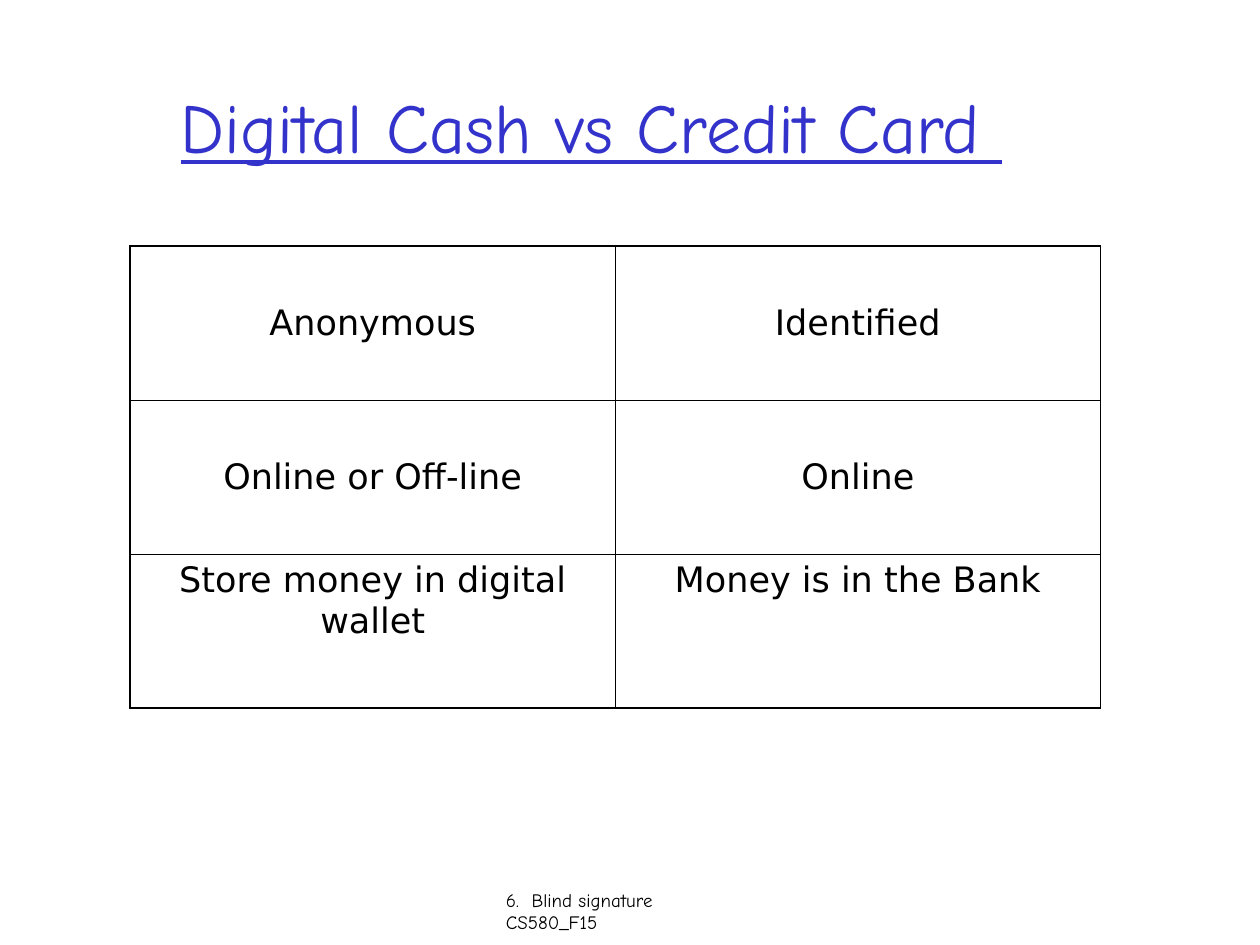
import pptx
import pptx.util
import pptx.dml.color
import pptx.enum.text
import pptx.oxml
import pptx.oxml.ns

Pt = pptx.util.Pt
ALIGN = pptx.enum.text.PP_ALIGN
ANCHOR = pptx.enum.text.MSO_ANCHOR

# Content
HEADING = "Digital Cash vs Credit Card "
COMPARISON = [
    ("Anonymous", "Identified"),
    ("Online or Off-line", "Online"),
    ("Store money in digital wallet", "Money is in the Bank"),
]
FOOTER = "6.  Blind signature\vCS580_F15"

COLORS = {"heading": "3333CC", "text": "000000", "rule": "000000", "page": "FFFFFF"}
HAND, SANS = "Comic Neue", "DejaVu Sans"
COLUMN_WIDTH, ROW_HEIGHT = 277.2, 88.1
OUTER_RULE, INNER_RULE = 1.08, 0.45


def write(frame, text, size, font, color="text", align=ALIGN.LEFT,
          anchor=ANCHOR.TOP, underline=False):
    frame.word_wrap = True
    frame.vertical_anchor = anchor
    paragraph = frame.paragraphs[0]
    paragraph.text = text
    paragraph.alignment = align
    for run in paragraph.runs:
        run.font.size = Pt(size)
        run.font.name = font
        run.font.underline = underline
        run.font.color.rgb = pptx.dml.color.RGBColor.from_string(COLORS[color])


def rule_cell(cell, widths):
    """Draw the cell's borders; widths maps L, R, T, B to points."""
    properties = cell._tc.get_or_add_tcPr()
    for position, (side, width) in enumerate(widths.items()):
        properties.insert(position, pptx.oxml.parse_xml(
            f'<a:ln{side} {pptx.oxml.ns.nsdecls("a")} w="{int(Pt(width))}">'
            f'<a:solidFill><a:srgbClr val="{COLORS["rule"]}"/></a:solidFill>'
            f'</a:ln{side}>'))


deck = pptx.Presentation()
deck.slide_width, deck.slide_height = Pt(720), Pt(540)
slide = deck.slides.add_slide(deck.slide_layouts[5])
slide.background.fill.solid()
slide.background.fill.fore_color.rgb = pptx.dml.color.RGBColor.from_string(COLORS["page"])

# Heading
heading = slide.shapes.title
heading.left, heading.top, heading.width, heading.height = Pt(96), Pt(24), Pt(612), Pt(95)
heading.text_frame.auto_size = pptx.enum.text.MSO_AUTO_SIZE.NONE
write(heading.text_frame, HEADING, 40, HAND, color="heading",
      anchor=ANCHOR.MIDDLE, underline=True)

# Comparison table
row_count, column_count = len(COMPARISON), len(COMPARISON[0])
comparison = slide.shapes.add_table(
    row_count, column_count, Pt(74.4), Pt(140.5),
    Pt(COLUMN_WIDTH * column_count), Pt(ROW_HEIGHT * row_count)).table
comparison.first_row = comparison.horz_banding = False
for column in comparison.columns:
    column.width = Pt(COLUMN_WIDTH)
for r, entries in enumerate(COMPARISON):
    comparison.rows[r].height = Pt(ROW_HEIGHT)
    last_row = r == row_count - 1
    for c, entry in enumerate(entries):
        cell = comparison.cell(r, c)
        cell.fill.background()
        write(cell.text_frame, entry, 20, SANS, align=ALIGN.CENTER)
        cell.vertical_anchor = ANCHOR.TOP if last_row else ANCHOR.MIDDLE
        on_edge = {"L": c == 0, "R": c == column_count - 1, "T": r == 0, "B": last_row}
        rule_cell(cell, {side: OUTER_RULE if edge else INNER_RULE
                         for side, edge in on_edge.items()})

# Footer
footer = slide.shapes.add_textbox(Pt(282), Pt(504), Pt(228), Pt(36))
write(footer.text_frame, FOOTER, 10.8, HAND)

deck.save("out.pptx")
